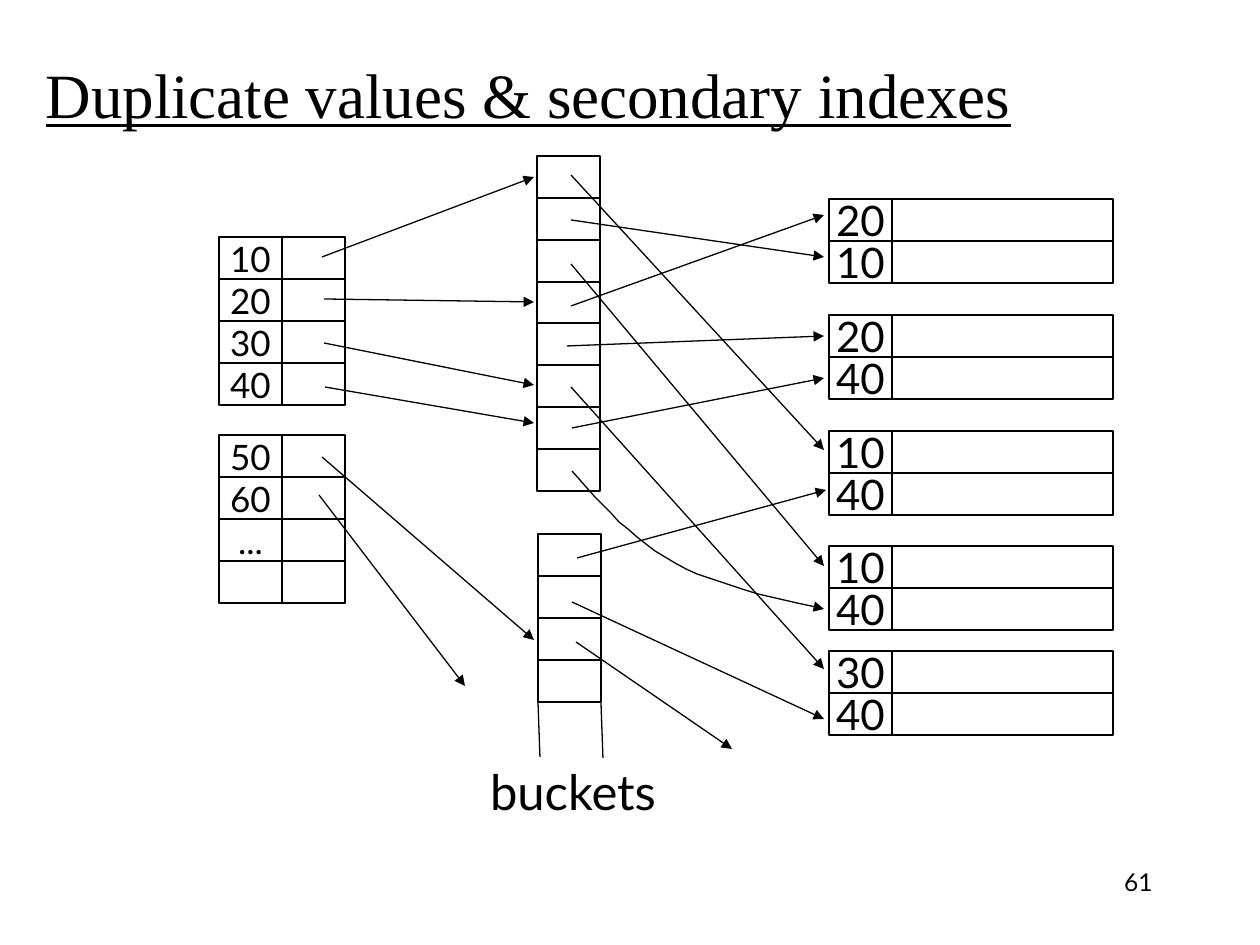
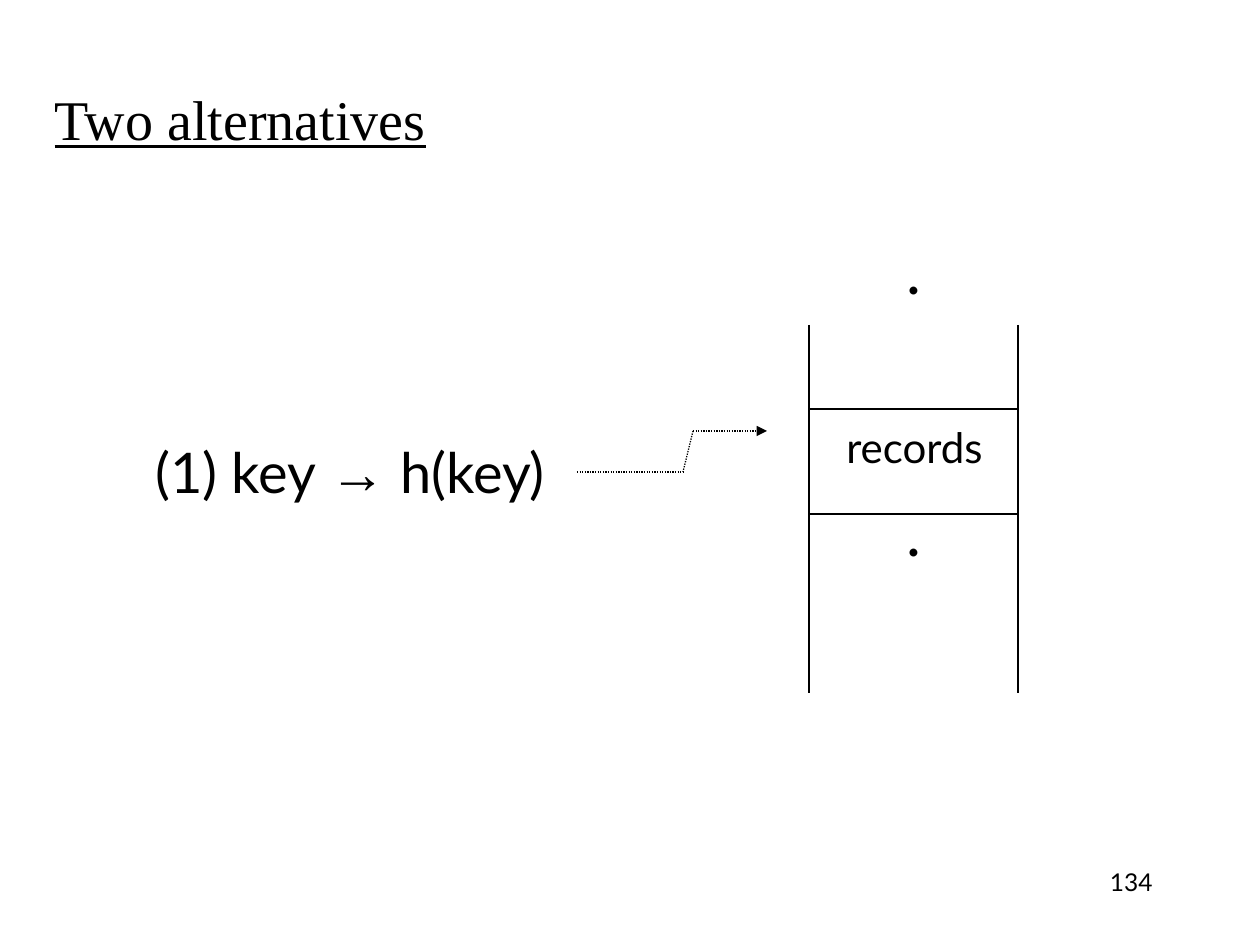
from lxml.etree import SubElement
from pptx import Presentation
from pptx.dml.color import RGBColor
from pptx.enum.dml import MSO_LINE_DASH_STYLE as Dash
from pptx.enum.shapes import MSO_CONNECTOR as Connector, MSO_SHAPE as Shape
from pptx.enum.text import MSO_ANCHOR as Anchor, PP_ALIGN as Align
from pptx.oxml.ns import qn
from pptx.util import Pt

PX = 914400 / 126
COLORS = {"ink": "000000", "paper": "FFFFFF"}
INK = RGBColor.from_string(COLORS["ink"])
PAPER = RGBColor.from_string(COLORS["paper"])
BODY_FONT, TITLE_FONT, SYMBOL_FONT = "Lato", "Times New Roman", "Arial"


def write(shape, text, size, font=BODY_FONT, align=Align.CENTER,
          anchor=Anchor.MIDDLE, underline=False, wrap=False):
    frame = shape.text_frame
    frame.word_wrap = wrap
    frame.vertical_anchor = anchor
    paragraph = frame.paragraphs[0]
    paragraph.alignment = align
    for part in filter(None, text.partition("→")):
        run = paragraph.add_run()
        run.text = part
        run.font.color.rgb = INK
        style = {"size": Pt(size), "underline": underline,
                 "name": SYMBOL_FONT if part == "→" else font}
        for name, value in style.items():
            setattr(run.font, name, value)
    return paragraph


def stroke(shape, arrow=False, dash=None):
    """Thin ink line without shadow, with an optional arrowhead and dash."""
    shape.line.color.rgb = INK
    shape.line.width = Pt(0.75)
    if dash:
        shape.line.dash_style = dash
    properties = shape._element.spPr
    if arrow:
        SubElement(properties.find(qn("a:ln")), qn("a:tailEnd"), type="triangle")
    if properties.find(qn("a:effectLst")) is None:
        SubElement(properties, qn("a:effectLst"))


prs = Presentation()
prs.slide_width, prs.slide_height = round(1260 * PX), round(945 * PX)

# Titles and slide numbers
pages = [
    ("Duplicate values & secondary indexes", 36, (33, 31, 1092, 125), "61"),
    ("Two alternatives", 32, (42, 71, 1071, 94), "134"),
]
slides = []
for title, size, box, number in pages:
    slide = prs.slides.add_slide(prs.slide_layouts[5])
    slides.append(slide)
    heading = slide.shapes.title
    for side, length in zip(("left", "top", "width", "height"), box):
        setattr(heading, side, round(length * PX))
    write(heading, title, size, TITLE_FONT, Align.LEFT, underline=True, wrap=True)
    footer = slide.shapes.add_textbox(*(round(v * PX) for v in (903, 861, 262, 63)))
    write(footer, number, 14, align=Align.RIGHT, anchor=Anchor.TOP, wrap=True)
duplicates, alternatives = slides

# Blocks of records, index entries and buckets: left, top, column widths, text size, keys
KEY_WIDTH, ROW = 63, 42
RECORD, ENTRY, BUCKET = (KEY_WIDTH, 221), (KEY_WIDTH, KEY_WIDTH), (KEY_WIDTH,)
blocks = [
    (829, 199, RECORD, 24, ["20", "10"]),
    (829, 315, RECORD, 24, ["20", "40"]),
    (829, 431, RECORD, 24, ["10", "40"]),
    (829, 546, RECORD, 24, ["10", "40"]),
    (829, 651, RECORD, 24, ["30", "40"]),
    (219, 237, ENTRY, 20, ["10", "20", "30", "40"]),
    (219, 435, ENTRY, 20, ["50", "60", "...", ""]),
    (537, 156, BUCKET, 20, [""] * 4),
    (537, 323, BUCKET, 20, [""] * 4),
    (538, 534, BUCKET, 20, [""] * 4),
]
for left, top, widths, size, keys in blocks:
    for row, key in enumerate(keys):
        for column, width in enumerate(widths):
            box = (left + column * KEY_WIDTH, top + row * ROW, width, ROW)
            cell = duplicates.shapes.add_shape(
                Shape.RECTANGLE, *(round(v * PX) for v in box))
            cell.fill.solid()
            cell.fill.fore_color.rgb = PAPER
            stroke(cell)
            if key and column == 0:
                write(cell, key, size)

# Straight lines and arrows
bucket_sides = [(538, 702, 540, 757), (601, 703, 603, 758)]
index_pointers = [
    (322, 257, 534, 177), (324, 299, 534, 302), (324, 343, 534, 385),
    (325, 387, 534, 423), (322, 457, 534, 640), (319, 495, 465, 686),
]
bucket_pointers = [
    (571, 220, 824, 257), (571, 175, 824, 450), (571, 264, 824, 566),
    (571, 306, 824, 215), (567, 346, 824, 336), (571, 387, 824, 669),
    (572, 428, 824, 378), (572, 602, 824, 719), (577, 558, 826, 490),
    (576, 642, 732, 749),
]
hash_path = [(577, 472, 683, 472), (693, 431, 683, 472)]
hash_arrow = [(693, 431, 767, 431)]
file_lines = [
    (809, 325, 809, 693), (1018, 325, 1018, 693),
    (809, 409, 1018, 409), (809, 514, 1018, 514),
]
line_sets = [
    (duplicates, bucket_sides, False, None),
    (duplicates, index_pointers + bucket_pointers, True, None),
    (alternatives, hash_path, False, Dash.ROUND_DOT),
    (alternatives, hash_arrow, True, Dash.ROUND_DOT),
    (alternatives, file_lines, False, None),
]
for slide, lines, arrow, dash in line_sets:
    for ends in lines:
        line = slide.shapes.add_connector(
            Connector.STRAIGHT, *(round(v * PX) for v in ends))
        stroke(line, arrow, dash)

# Curved pointer from the last bucket, two Bezier arcs in small steps
arcs = [
    [(572, 471), (602, 505), (634, 541), (675, 563)],
    [(675, 563), (717, 586), (771, 597), (824, 609)],
]
STEPS = 12
curve_points = []
for arc in arcs:
    for step in range(1, STEPS + 1):
        t = step / STEPS
        weights = ((1 - t) ** 3, 3 * t * (1 - t) ** 2, 3 * t ** 2 * (1 - t), t ** 3)
        curve_points.append(tuple(
            sum(w * v for w, v in zip(weights, axis)) for axis in zip(*arc)))
builder = duplicates.shapes.build_freeform(*arcs[0][0], scale=PX)
builder.add_line_segments(curve_points, close=False)
curve = builder.convert_to_shape()
curve.fill.background()
stroke(curve, arrow=True)

# Labels
labels = [
    (duplicates, "buckets", 28, (471, 755, 204, 72)),
    (alternatives, "records", 24, (827, 415, 175, 63)),
    (alternatives, "(1) key → h(key)", 32, (136, 431, 428, 81)),
]
for slide, text, size, box in labels:
    label = slide.shapes.add_textbox(*(round(v * PX) for v in box))
    write(label, text, size)

for top in (282, 544):
    dot = alternatives.shapes.add_textbox(*(round(v * PX) for v in (893, top, 42, 100)))
    write(dot, ".", 36, anchor=Anchor.TOP).line_spacing = 0.1

prs.save("out.pptx")
